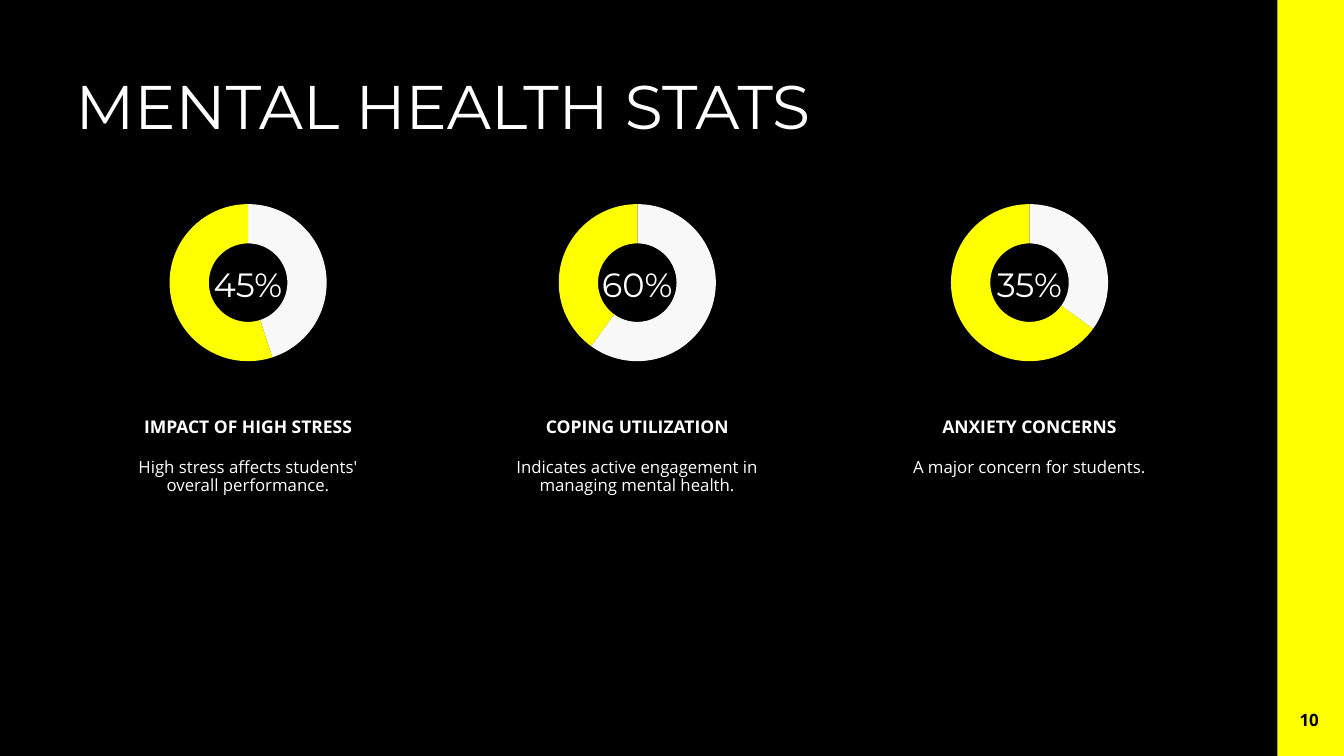
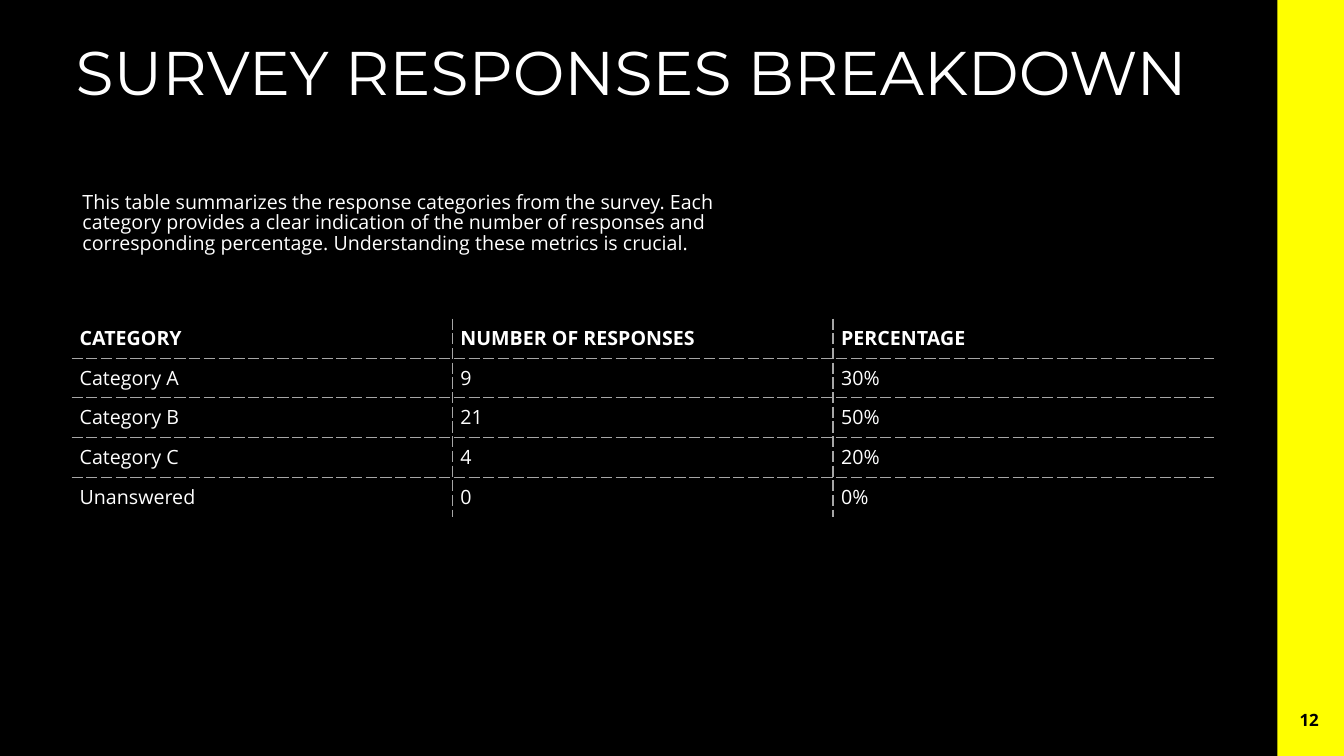
from lxml import etree
from pptx import Presentation
from pptx.chart.data import CategoryChartData
from pptx.dml.color import RGBColor
from pptx.enum.chart import XL_CHART_TYPE as ChartType
from pptx.enum.shapes import MSO_SHAPE as Shape
from pptx.enum.text import MSO_ANCHOR as Anchor, MSO_AUTO_SIZE as AutoSize, PP_ALIGN as Align
from pptx.oxml import parse_xml
from pptx.oxml.ns import nsdecls, qn
from pptx.util import Inches, Pt

COLORS = {
    "background": "000000",
    "accent": "FFFF00",
    "text": "FFFFFF",
    "ring": "F8F8F8",
    "rule": "A6A6A6",
}
HEADING_FONT = "Montserrat"
BODY_FONT = "Open Sans"
BODY_SPACING = 0.88

# Content
STATS_TITLE = "MENTAL HEALTH STATS"
STATS = [
    # column centre, percentage, label, description
    (2.46, 45, "IMPACT OF HIGH STRESS", "High stress affects students' overall performance."),
    (6.32, 60, "COPING UTILIZATION", "Indicates active engagement in managing mental health."),
    (10.21, 35, "ANXIETY CONCERNS", "A major concern for students."),
]
SURVEY_TITLE = "SURVEY RESPONSES BREAKDOWN"
SURVEY_INTRO = (
    "This table summarizes the response categories from the survey. "
    "Each category provides a clear indication of the number of responses and "
    "corresponding percentage. Understanding these metrics is crucial."
)
SURVEY_ROWS = [
    ("CATEGORY", "NUMBER OF RESPONSES", "PERCENTAGE"),
    ("Category A", "9", "30%"),
    ("Category B", "21", "50%"),
    ("Category C", "4", "20%"),
    ("Unanswered", "0", "0%"),
]


def rgb(name):
    return RGBColor.from_string(COLORS[name])


def format_text(paragraph, size, font=BODY_FONT, color="text", bold=False,
                align=Align.LEFT, spacing=1.0):
    paragraph.alignment = align
    paragraph.line_spacing = spacing
    paragraph.font.size = Pt(size)
    paragraph.font.name = font
    paragraph.font.bold = bold
    paragraph.font.color.rgb = rgb(color)


def add_text(slide, text, left, top, width, height, size, anchor=Anchor.TOP, **style):
    box = slide.shapes.add_textbox(Inches(left), Inches(top), Inches(width), Inches(height))
    frame = box.text_frame
    frame.word_wrap = True
    frame.vertical_anchor = anchor
    frame.text = text
    format_text(frame.paragraphs[0], size, **style)


# Shared frame: side band, title and page number
def add_slide(presentation, title_text, title_top, number):
    slide = presentation.slides.add_slide(presentation.slide_layouts[5])
    band = slide.shapes.add_shape(Shape.RECTANGLE, Inches(12.67), 0, Inches(0.67), Inches(7.5))
    band.shadow.inherit = False
    band.fill.solid()
    band.fill.fore_color.rgb = rgb("accent")
    band.line.fill.background()

    title = slide.shapes.title
    title.left, title.top = Inches(0.65), Inches(title_top)
    title.width, title.height = Inches(11.33), Inches(1.04)
    frame = title.text_frame
    frame.text = title_text
    frame.word_wrap = True
    frame.auto_size = AutoSize.NONE
    frame.vertical_anchor = Anchor.TOP
    format_text(frame.paragraphs[0], 44, font=HEADING_FONT)

    add_text(slide, str(number), 12.65, 6.94, 0.67, 0.39, 12.1, anchor=Anchor.MIDDLE,
             color="background", bold=True, align=Align.CENTER)
    return slide


def add_doughnut(slide, center, percent):
    width, height, diameter = 2.22, 1.83, 1.56
    data = CategoryChartData()
    data.categories = ["1", "2"]
    data.add_series("Series 1", (percent, 100 - percent))
    chart = slide.shapes.add_chart(
        ChartType.DOUGHNUT, Inches(center - width / 2), Inches(1.89),
        Inches(width), Inches(height), data).chart
    chart.has_legend = False
    chart.has_title = False
    chart.font.size = Pt(10)
    chart.font.name = BODY_FONT
    chart.font.color.rgb = rgb("text")
    plot = chart.plots[0]
    plot.vary_by_categories = True
    for index, color in enumerate(("ring", "accent")):
        point_format = plot.series[0].points[index].format
        point_format.fill.solid()
        point_format.fill.fore_color.rgb = rgb(color)
        point_format.line.fill.background()

    # Hole size and a centred plot area
    plot_area = chart.element.find(".//" + qn("c:plotArea"))
    plot_area.find(".//" + qn("c:holeSize")).set("val", "90")
    for layout in plot_area.findall(qn("c:layout")):
        plot_area.remove(layout)
    w, h = diameter / width, diameter / height
    settings = [("layoutTarget", "inner"), ("xMode", "edge"), ("yMode", "edge"),
                ("x", f"{(1 - w) / 2:.3f}"), ("y", f"{(1 - h) / 2:.3f}"),
                ("w", f"{w:.3f}"), ("h", f"{h:.3f}")]
    layout = etree.Element(qn("c:layout"))
    manual = etree.SubElement(layout, qn("c:manualLayout"))
    for tag, value in settings:
        etree.SubElement(manual, qn("c:" + tag)).set("val", value)
    plot_area.insert(0, layout)


def set_borders(cell, visible):
    """Dash the sides named in visible and clear the others."""
    properties = cell._tc.get_or_add_tcPr()
    for index, side in enumerate("LRTB"):
        if side in visible:
            width = Pt(1)
            line = (f'<a:solidFill><a:srgbClr val="{COLORS["rule"]}"/></a:solidFill>'
                    '<a:prstDash val="sysDash"/>')
        else:
            width, line = 0, "<a:noFill/>"
        properties.insert(index, parse_xml(
            f'<a:ln{side} {nsdecls("a")} w="{width}">{line}</a:ln{side}>'))


def add_survey_table(slide):
    row_count, column_count = len(SURVEY_ROWS), len(SURVEY_ROWS[0])
    table = slide.shapes.add_table(row_count, column_count, Inches(0.71), Inches(3.16),
                                   Inches(11.33), Inches(1.97)).table
    table.first_row = True
    table.horz_banding = False
    for r, row in enumerate(SURVEY_ROWS):
        for c, text in enumerate(row):
            cell = table.cell(r, c)
            cell.fill.background()
            cell.vertical_anchor = Anchor.MIDDLE
            cell.margin_left = cell.margin_right = Inches(0.08)
            cell.margin_top = cell.margin_bottom = Inches(0.08)
            cell.text = text
            format_text(cell.text_frame.paragraphs[0], 14, bold=r == 0, spacing=BODY_SPACING)
            inner = {"L": c > 0, "R": c < column_count - 1, "T": r > 0, "B": r < row_count - 1}
            set_borders(cell, [side for side, shown in inner.items() if shown])


def build_stats(presentation):
    slide = add_slide(presentation, STATS_TITLE, 0.62, 10)
    text_width = 2.61
    for center, percent, label, description in STATS:
        left = center - text_width / 2
        add_doughnut(slide, center, percent)
        add_text(slide, f"{percent}%", center - 0.5, 2.57, 1, 0.5, 24, anchor=Anchor.MIDDLE,
                 font=HEADING_FONT, align=Align.CENTER)
        add_text(slide, label, left, 3.86, text_width, 0.53, 12.5, anchor=Anchor.BOTTOM,
                 bold=True, align=Align.CENTER)
        add_text(slide, description, left, 4.51, text_width, 2.62, 12,
                 align=Align.CENTER, spacing=BODY_SPACING)


def build_survey(presentation):
    slide = add_slide(presentation, SURVEY_TITLE, 0.29, 12)
    add_text(slide, SURVEY_INTRO, 0.72, 1.79, 6.6, 0.86, 14, anchor=Anchor.MIDDLE,
             spacing=BODY_SPACING)
    add_survey_table(slide)


def main():
    presentation = Presentation()
    presentation.slide_width, presentation.slide_height = Inches(13.33), Inches(7.5)
    background = presentation.slide_master.background.fill
    background.solid()
    background.fore_color.rgb = rgb("background")
    build_stats(presentation)
    build_survey(presentation)
    presentation.save("out.pptx")


if __name__ == "__main__":
    main()
